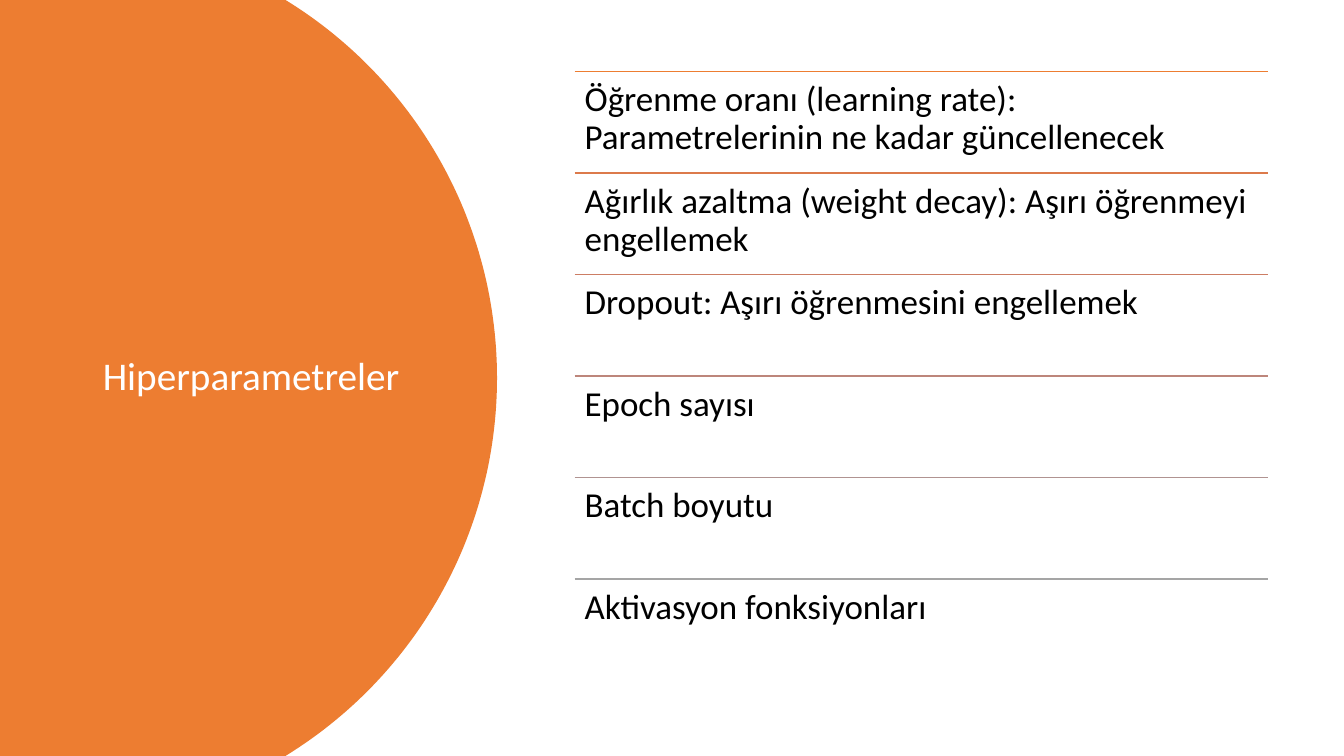
from math import asin, cos, sin

from lxml import etree
from pptx import Presentation
from pptx.dml.color import RGBColor
from pptx.enum.shapes import MSO_CONNECTOR
from pptx.enum.text import MSO_ANCHOR, MSO_AUTO_SIZE, PP_ALIGN
from pptx.oxml.ns import qn
from pptx.util import Inches, Pt

STRAIGHT = MSO_CONNECTOR.STRAIGHT
TOP, MIDDLE = MSO_ANCHOR.TOP, MSO_ANCHOR.MIDDLE
LEFT = PP_ALIGN.LEFT
NO_AUTOFIT = MSO_AUTO_SIZE.NONE

ORANGE = RGBColor(0xED, 0x7D, 0x31)
WHITE = RGBColor(0xFF, 0xFF, 0xFF)
BLACK = RGBColor(0x00, 0x00, 0x00)
FONT = "Calibri"

TITLE = "Hiperparametreler"
HYPERPARAMETERS = [
    ("Öğrenme oranı (learning rate): Parametrelerinin ne kadar güncellenecek", ORANGE),
    ("Ağırlık azaltma (weight decay): Aşırı öğrenmeyi engellemek", RGBColor(0xDC, 0x7A, 0x4B)),
    ("Dropout: Aşırı öğrenmesini engellemek", RGBColor(0xCC, 0x7D, 0x64)),
    ("Epoch sayısı", RGBColor(0xBD, 0x86, 0x7B)),
    ("Batch boyutu", RGBColor(0xB0, 0x93, 0x91)),
    ("Aktivasyon fonksiyonları", RGBColor(0xA5, 0xA5, 0xA5)),
]

SLIDE_W, SLIDE_H = 13.33, 7.5
ARC_CENTER_X, ARC_RADIUS, ARC_STEPS = 0.53, 4.4, 120
LIST_LEFT, LIST_TOP, LIST_W = 5.7, 0.71, 6.88
ROW_H = 1.007


def write(frame, text, size, color, anchor, inset_x, inset_y):
    frame.text = text
    frame.word_wrap = True
    frame.auto_size = NO_AUTOFIT
    frame.vertical_anchor = anchor
    frame.margin_left = frame.margin_right = Inches(inset_x)
    frame.margin_top = frame.margin_bottom = Inches(inset_y)
    paragraph = frame.paragraphs[0]
    paragraph.alignment = LEFT
    paragraph.line_spacing = 0.9
    font = paragraph.runs[0].font
    font.name, font.size, font.color.rgb = FONT, Pt(size), color


def add_arc_panel(slide):
    """Fill the left of the slide, bounded by a circular arc, behind the title."""
    middle = SLIDE_H / 2
    half_angle = asin(middle / ARC_RADIUS)
    angles = [half_angle * (2 * i / ARC_STEPS - 1) for i in range(ARC_STEPS + 1)]
    arc = [(Inches(ARC_CENTER_X + ARC_RADIUS * cos(a)),
            Inches(middle + ARC_RADIUS * sin(a))) for a in angles]
    builder = slide.shapes.build_freeform(0, 0)
    builder.add_line_segments(arc + [(0, Inches(SLIDE_H))], close=True)
    panel = builder.convert_to_shape()
    panel.shadow.inherit = False
    panel.fill.solid()
    panel.fill.fore_color.rgb = ORANGE
    panel.line.fill.background()
    title_element = slide.shapes.title._element
    title_element.addprevious(panel._element)


def add_row(slide, top, text, color):
    rule = slide.shapes.add_connector(
        STRAIGHT, Inches(LIST_LEFT), Inches(top), Inches(LIST_LEFT + LIST_W), Inches(top))
    rule.line.color.rgb = color
    rule.line.width = Pt(1)
    etree.SubElement(rule._element.spPr, qn("a:effectLst"))
    label = slide.shapes.add_textbox(
        Inches(LIST_LEFT), Inches(top), Inches(LIST_W), Inches(ROW_H))
    write(label.text_frame, text, 25, BLACK, TOP, 0.1, 0.1)


def main():
    prs = Presentation()
    prs.slide_width, prs.slide_height = Inches(SLIDE_W), Inches(SLIDE_H)
    slide = prs.slides.add_slide(prs.slide_layouts[5])

    title = slide.shapes.title
    title.left, title.top = Inches(0.92), Inches(0.7)
    title.width, title.height = Inches(3.23), Inches(6.09)
    write(title.text_frame, TITLE, 28, WHITE, MIDDLE, 0.1, 0.05)
    add_arc_panel(slide)

    for i, (text, color) in enumerate(HYPERPARAMETERS):
        add_row(slide, LIST_TOP + i * ROW_H, text, color)

    prs.save("out.pptx")


if __name__ == "__main__":
    main()
